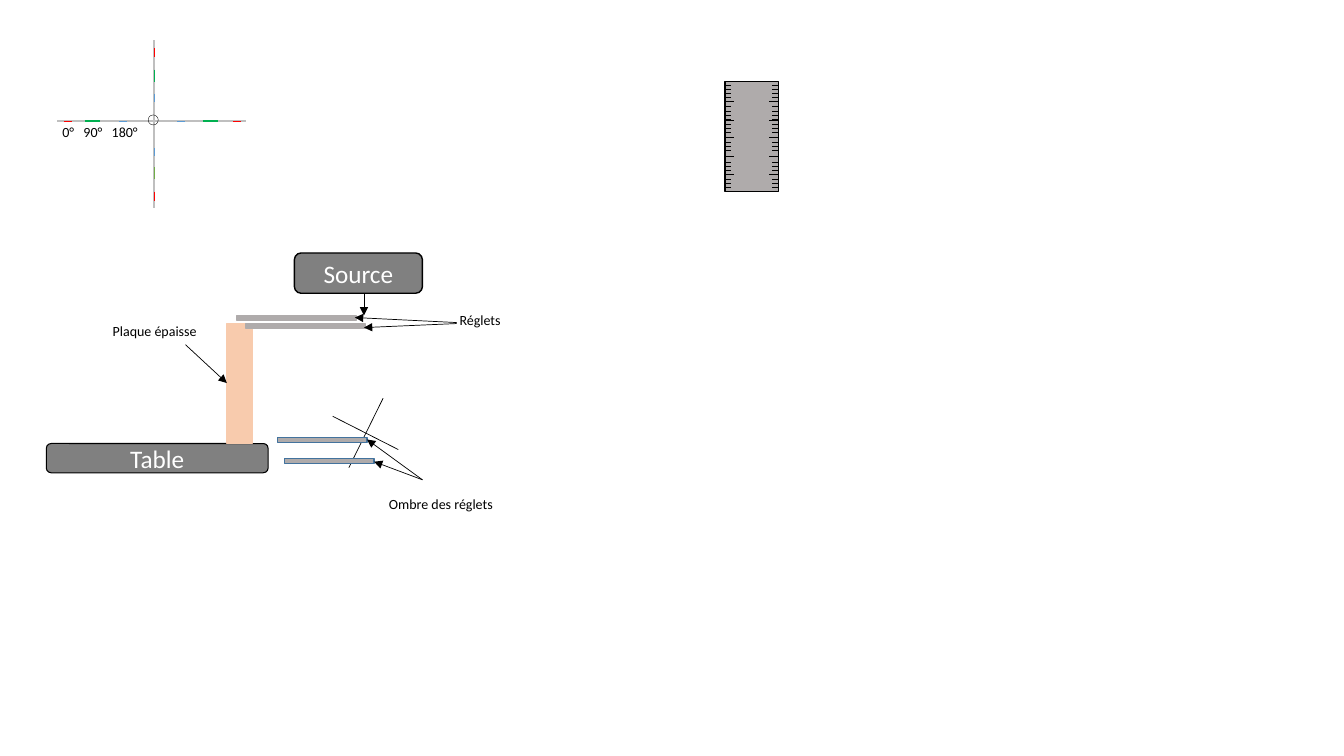
from dataclasses import dataclass

from lxml import etree
from pptx import Presentation
from pptx.dml.color import RGBColor
from pptx.enum import shapes, text
from pptx.oxml.ns import qn
from pptx.util import Emu, Pt

PX = 9144  # 100 px to the inch


@dataclass(frozen=True)
class Theme:
    font: str = "Calibri"
    label_size: int = 10
    block_size: int = 18
    black: str = "000000"
    white: str = "FFFFFF"
    axis: str = "BFBFBF"
    red: str = "FF0000"
    green: str = "00B050"
    light_green: str = "70AD47"
    blue: str = "5B9BD5"
    block: str = "808080"
    plate: str = "F8CBAD"
    ruler: str = "AFABAB"
    shadow_edge: str = "43739E"


T = Theme()


def px(*lengths):
    return [Emu(n * PX) for n in lengths]


def rgb(value):
    return RGBColor.from_string(value)


def write(tf, words, size=T.label_size, color=T.black, align=text.PP_ALIGN.LEFT):
    p = tf.paragraphs[0]
    p.alignment = align
    r = p.add_run()
    r.text = words
    r.font.name = T.font
    r.font.size = Pt(size)
    r.font.color.rgb = rgb(color)


def add_line(slide, x1, y1, x2, y2, color=T.black, weight=0.5, arrow=False):
    line = slide.shapes.add_connector(shapes.MSO_CONNECTOR.STRAIGHT,
                                      *px(x1, y1, x2, y2))
    line.line.color.rgb = rgb(color)
    line.line.width = Pt(weight)
    sp_pr = line.element.spPr
    if arrow:
        etree.SubElement(sp_pr.find(qn("a:ln")), qn("a:tailEnd"), type="triangle")
    etree.SubElement(sp_pr, qn("a:effectLst"))


def add_shape(slide, kind, box, fill=None, edge=T.black, weight=1):
    sp = slide.shapes.add_shape(kind, *px(*box))
    sp.shadow.inherit = False
    if fill:
        sp.fill.solid()
        sp.fill.fore_color.rgb = rgb(fill)
    else:
        sp.fill.background()
    sp.line.color.rgb = rgb(edge)
    sp.line.width = Pt(weight)
    return sp


def add_bar(slide, box, fill=T.ruler, edge=T.ruler):
    add_shape(slide, shapes.MSO_SHAPE.RECTANGLE, box, fill, edge)


def add_block(slide, words, box, weight=1):
    sp = add_shape(slide, shapes.MSO_SHAPE.ROUNDED_RECTANGLE, box, T.block,
                   weight=weight)
    tf = sp.text_frame
    tf.vertical_anchor = text.MSO_ANCHOR.MIDDLE
    write(tf, words, size=T.block_size, color=T.white, align=text.PP_ALIGN.CENTER)


def add_label(slide, words, x, y, width, wrap=True):
    tf = slide.shapes.add_textbox(*px(x, y, width, 27)).text_frame
    tf.word_wrap = wrap
    tf.auto_size = text.MSO_AUTO_SIZE.SHAPE_TO_FIT_TEXT
    write(tf, words)


def draw_angle_target(slide):
    """Crossed axes with coloured dashes for each angle."""
    cx, cy = 153, 120
    add_line(slide, cx, 40, cx, 206, T.axis, 1.5)
    add_line(slide, 57, cy, 244, cy, T.axis, 1.5)

    # colours (top and sides, bottom), weight, x starts, length, y starts, length
    dashes = [
        (T.red, T.red, 0.5, (63, 231), 8, (48, 190), 9),
        (T.green, T.light_green, 1, (84, 201), 15, (69, 166), 12),
        (T.blue, T.blue, 0.5, (118, 176), 8, (93, 147), 8),
    ]
    for color, bottom, weight, xs, width, ys, height in dashes:
        for y, dash_color in zip(ys, (color, bottom)):
            add_line(slide, cx, y, cx, y + height, dash_color, weight)
        for x in xs:
            add_line(slide, x, cy, x + width, cy, color, weight)

    add_shape(slide, shapes.MSO_SHAPE.OVAL, (cx - 6, cy - 6, 10, 10), weight=0.25)
    add_label(slide, "0°", 52, 118, 32, wrap=False)
    add_label(slide, "90°", 73, 118, 40)
    add_label(slide, "180°", 101, 118, 55)


def draw_setup(slide):
    """Source, plate and rulers, with the shadows they cast."""
    add_block(slide, "Table", (46, 440, 220, 29), weight=0.75)
    add_bar(slide, (225, 321, 25, 119), T.plate, T.plate)
    add_block(slide, "Source", (292, 251, 127, 40))
    for x, y in ((244, 321), (235, 313)):
        add_bar(slide, (x, y, 118, 5))

    add_line(slide, 380, 395, 346, 464)
    add_line(slide, 330, 413, 395, 446)
    for x, y in ((275, 434), (282, 455)):
        add_bar(slide, (x, y, 89, 5), edge=T.shadow_edge)

    arrows = [
        (184, 342, 225, 380),
        (453, 321, 361, 325), (453, 320, 352, 315),
        (419, 476, 371, 458), (419, 476, 364, 436),
        (361, 291, 361, 313),
    ]
    for ends in arrows:
        add_line(slide, *ends, arrow=True)
    add_label(slide, "Plaque épaisse", 102, 315, 114)
    add_label(slide, "Réglets", 446, 304, 102)
    add_label(slide, "Ombre des réglets", 376, 487, 133)


def draw_ruler(slide):
    left, right, pitch = 719, 772, 4
    add_bar(slide, (left, 81, right - left, 109), edge=T.black)

    def tick_pair(y, length):
        add_line(slide, left, y, left + length, y)
        add_line(slide, right - length, y, right, y)

    for y in (101, 119, 136, 155, 173, 190):
        tick_pair(y, 9)
    for first, count in ((85, 4), (106, 4), (123, 3), (141, 3), (161, 3), (178, 3)):
        for i in range(count):
            tick_pair(first + i * pitch, 6)


def main():
    prs = Presentation()
    prs.slide_width, prs.slide_height = px(1333, 750)
    slide = prs.slides.add_slide(prs.slide_layouts[6])
    draw_angle_target(slide)
    draw_setup(slide)
    draw_ruler(slide)
    prs.save("out.pptx")


if __name__ == "__main__":
    main()
